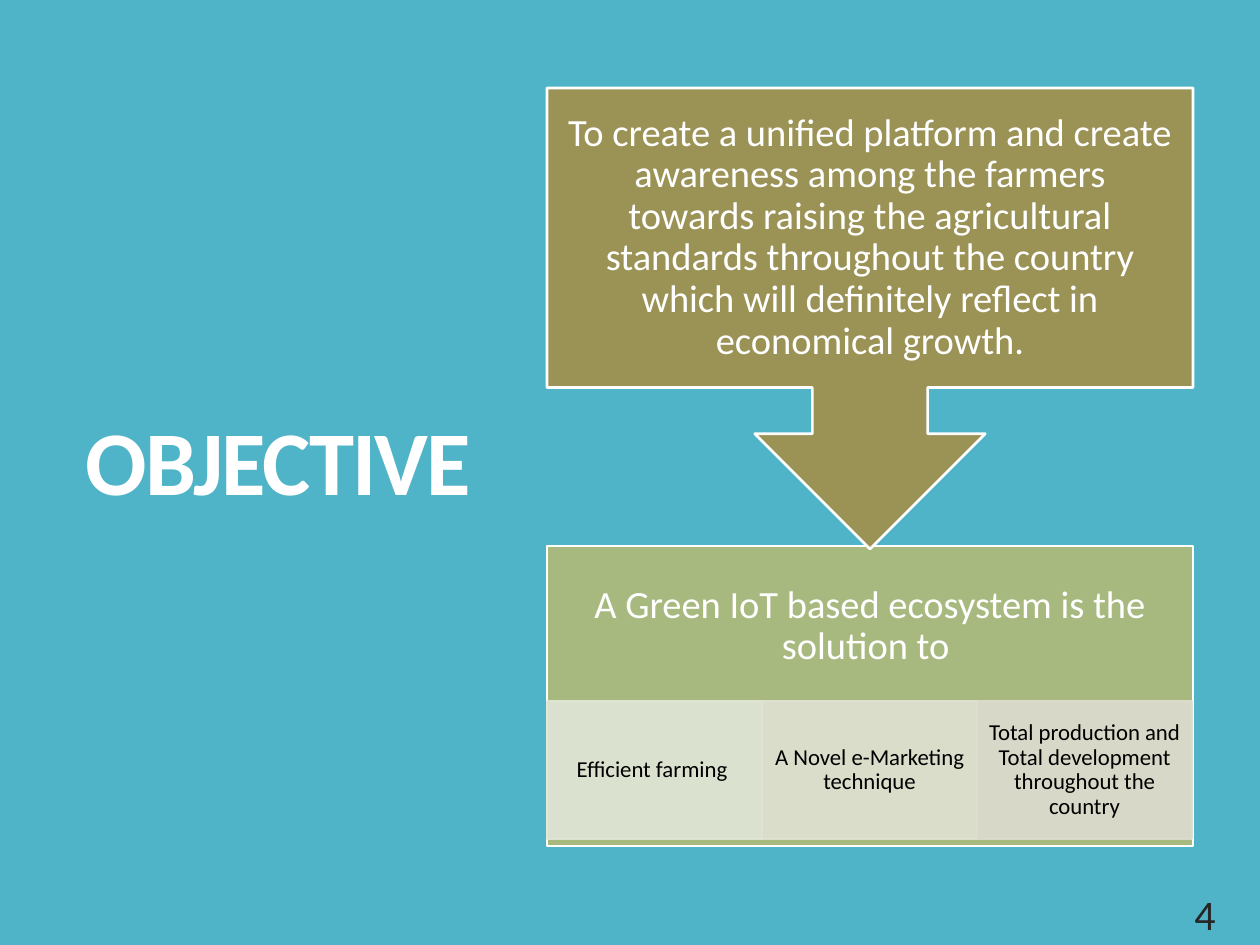
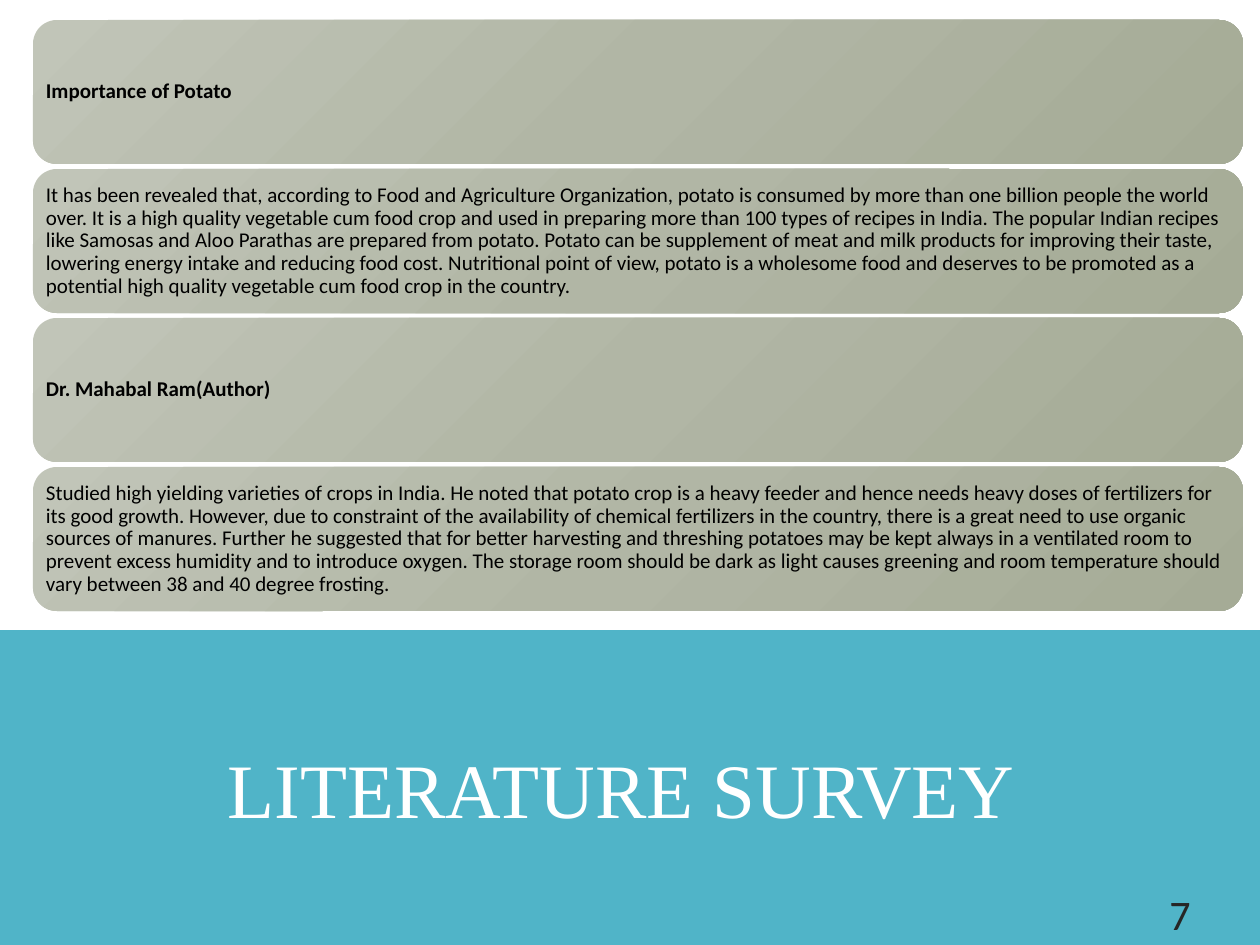
import copy
from dataclasses import dataclass

import pptx
import pptx.dml.color
import pptx.enum.shapes
import pptx.enum.text
import pptx.oxml
import pptx.oxml.ns
import pptx.util

EMU_PER_PX = 914400 / 126
SLIDE_WIDTH, SLIDE_HEIGHT = 1260, 945
TITLE_ONLY_LAYOUT = 5

SHAPE = pptx.enum.shapes.MSO_SHAPE
ALIGN = pptx.enum.text.PP_ALIGN
ANCHOR = pptx.enum.text.MSO_ANCHOR
qn = pptx.oxml.ns.qn


@dataclass(frozen=True)
class Theme:
    teal: str = "50B4C8"
    white: str = "FFFFFF"
    black: str = "000000"
    number: str = "262626"
    olive: str = "9B9256"
    green: str = "A8B97F"
    item_tints: tuple = ("E1E6D8", "E1E2D4", "DEDCD1")
    bar_gradient: tuple = ("C1C5B8", "B1B6A5", "A5AB96")
    body_font: str = "Calibri"
    serif_font: str = "Times New Roman"
    objective_size: int = 52
    survey_size: int = 44
    number_size: int = 24
    statement_size: int = 22
    item_size: int = 13
    bar_size: int = 12


THEME = Theme()

GOAL = ("To create a unified platform and create awareness among the farmers towards "
        "raising the agricultural standards throughout the country which will definitely "
        "reflect in economical growth.")
SOLUTION = "A Green IoT based ecosystem is the solution to "
SOLUTION_ITEMS = (
    "Efficient farming ",
    "A Novel e-Marketing technique",
    "Total production and Total development throughout the country",
)
# Heading and finding of each survey entry
SURVEY = (
    ("Importance of Potato",
     "It has been revealed that, according to Food and Agriculture Organization, potato is "
     "consumed by more than one billion people the world over. It is a high quality vegetable "
     "cum food crop and used in preparing more than 100 types of recipes in India. The popular "
     "Indian recipes like Samosas and Aloo Parathas are prepared from potato. Potato can be "
     "supplement of meat and milk products for improving their taste, lowering energy intake "
     "and reducing food cost. Nutritional point of view, potato is a wholesome food and "
     "deserves to be promoted as a potential high quality vegetable cum food crop in the "
     "country."),
    ("Dr. Mahabal Ram(Author)",
     "Studied high yielding varieties of crops in India. He noted that potato crop is a heavy "
     "feeder and hence needs heavy doses of fertilizers for its good growth. However, due to "
     "constraint of the availability of chemical fertilizers in the country, there is a great "
     "need to use organic sources of manures. Further he suggested that for better harvesting "
     "and threshing potatoes may be kept always in a ventilated room to prevent excess humidity "
     "and to introduce oxygen. The storage room should be dark as light causes greening and "
     "room temperature should vary between 38 and 40 degree frosting."),
)


# Basic helpers
def px(length):
    return pptx.util.Emu(round(length * EMU_PER_PX))


def rgb(color):
    return pptx.dml.color.RGBColor.from_string(color)


def place(shape, left, top, width, height):
    shape.left, shape.top, shape.width, shape.height = map(px, (left, top, width, height))


def write_text(shape, text, *, size, color, font=THEME.body_font, bold=False,
               align=ALIGN.CENTER, anchor=ANCHOR.MIDDLE, line_spacing=0.9,
               insets=None, letter_spacing=None):
    """Insets are left, top, right and bottom in px; letter spacing is in points."""
    frame = shape.text_frame
    frame.word_wrap = True
    frame.auto_size = pptx.enum.text.MSO_AUTO_SIZE.NONE
    frame.vertical_anchor = anchor
    if insets:
        (frame.margin_left, frame.margin_top,
         frame.margin_right, frame.margin_bottom) = map(px, insets)
    paragraph = frame.paragraphs[0]
    paragraph.alignment = align
    paragraph.line_spacing = line_spacing
    run = paragraph.add_run()
    run.text = text
    run.font.name = font
    run.font.size = pptx.util.Pt(size)
    run.font.bold = bold
    run.font.color.rgb = rgb(color)
    if letter_spacing is not None:
        run.font._element.set("spc", str(round(letter_spacing * 100)))


def fill_solid(fill, color):
    fill.solid()
    fill.fore_color.rgb = rgb(color)


def set_opacity(shape, percent):
    """Apply one opacity to the fill and the line of a shape."""
    for color in shape._element.spPr.iter(qn("a:srgbClr")):
        alpha = pptx.oxml.parse_xml(
            f'<a:alpha {pptx.oxml.ns.nsdecls("a")} val="{percent * 1000}"/>')
        color.append(alpha)


def fill_gradient(shape, colors):
    """Spread the colours evenly along the falling diagonal."""
    shape.fill.gradient()
    shape.fill.gradient_angle = 315
    stop_list = shape._element.spPr.find(".//" + qn("a:gsLst"))
    while len(stop_list) < len(colors):
        stop_list.append(copy.deepcopy(stop_list[0]))
    for index, (stop, color) in enumerate(zip(shape.fill.gradient_stops, colors)):
        stop.position = index / (len(colors) - 1)
        stop.color.rgb = rgb(color)


# Kinds of element
def add_slide(presentation, background):
    slide = presentation.slides.add_slide(presentation.slide_layouts[TITLE_ONLY_LAYOUT])
    fill_solid(slide.background.fill, background)
    return slide


def add_title(slide, text, box, **text_format):
    title = slide.shapes.title
    place(title, *box)
    write_text(title, text, color=THEME.white, **text_format)
    return title


def add_block(slide, kind, box, fill=None, line=None, line_width=1.5):
    block = slide.shapes.add_shape(kind, *map(px, box))
    block.shadow.inherit = False
    if fill:
        fill_solid(block.fill, fill)
    if line:
        fill_solid(block.line.fill, line)
        block.line.width = pptx.util.Pt(line_width)
    else:
        block.line.fill.background()
    return block


def add_statement(slide, kind, box, text, fill, space_below=0):
    inset = 21
    block = add_block(slide, kind, box, fill, THEME.white)
    write_text(block, text, size=THEME.statement_size, color=THEME.white,
               insets=(inset, inset, inset, inset + space_below))


def add_solution_item(slide, box, text, tint):
    item = add_block(slide, SHAPE.RECTANGLE, box, tint, tint, line_width=1)
    set_opacity(item, 90)
    write_text(item, text, size=THEME.item_size, color=THEME.black, insets=(12, 2, 12, 2))


def add_survey_bar(slide, box, text, bold):
    bar = add_block(slide, SHAPE.ROUNDED_RECTANGLE, box)
    fill_gradient(bar, THEME.bar_gradient)
    write_text(bar, text, size=THEME.bar_size, color=THEME.black, bold=bold,
               align=ALIGN.LEFT, insets=(6, 6, 6, 6))


def add_slide_number(slide, number, left):
    width, height = 302, 193
    box = (left, SLIDE_HEIGHT - height, width, height)
    text_box = slide.shapes.add_textbox(*map(px, box))
    write_text(text_box, str(number), size=THEME.number_size, color=THEME.number,
               align=ALIGN.RIGHT, anchor=ANCHOR.BOTTOM, line_spacing=1.0)


# Slides
def build_objective(presentation):
    slide = add_slide(presentation, THEME.teal)
    add_title(slide, "OBJECTIVE", (73, 88, 413, 757), size=THEME.objective_size,
              bold=True, align=ALIGN.LEFT, letter_spacing=-1.2)

    # Solution panel with its row of items, below the goal that points to it
    left, width = 547, 646
    panel_top, panel_height, heading_height = 546, 300, 161
    add_statement(slide, SHAPE.RECTANGLE, (left, panel_top, width, panel_height),
                  SOLUTION, THEME.green, space_below=panel_height - heading_height)
    item_width = width // len(SOLUTION_ITEMS)
    for index, (text, tint) in enumerate(zip(SOLUTION_ITEMS, THEME.item_tints)):
        add_solution_item(slide, (left + index * item_width, 701, item_width, 138), text, tint)
    add_statement(slide, SHAPE.DOWN_ARROW_CALLOUT, (left, 88, width, 461), GOAL, THEME.olive)
    add_slide_number(slide, 4, left=926)


def build_survey(presentation):
    slide = add_slide(presentation, THEME.white)
    band = add_title(slide, "LITERATURE SURVEY ", (0, 630, SLIDE_WIDTH, 315),
                     size=THEME.survey_size, font=THEME.serif_font, line_spacing=1.0)
    fill_solid(band.fill, THEME.teal)

    # Stack of bars: a bold heading, then its finding
    bar_height, gap = 144, 5
    bars = [(text, text == heading) for heading, finding in SURVEY
            for text in (heading, finding)]
    for index, (text, bold) in enumerate(bars):
        top = 20 + index * (bar_height + gap)
        add_survey_bar(slide, (33, top, 1210, bar_height), text, bold)
    add_slide_number(slide, 7, left=901)


def main():
    presentation = pptx.Presentation()
    presentation.slide_width = px(SLIDE_WIDTH)
    presentation.slide_height = px(SLIDE_HEIGHT)
    build_objective(presentation)
    build_survey(presentation)
    presentation.save("out.pptx")


if __name__ == "__main__":
    main()
